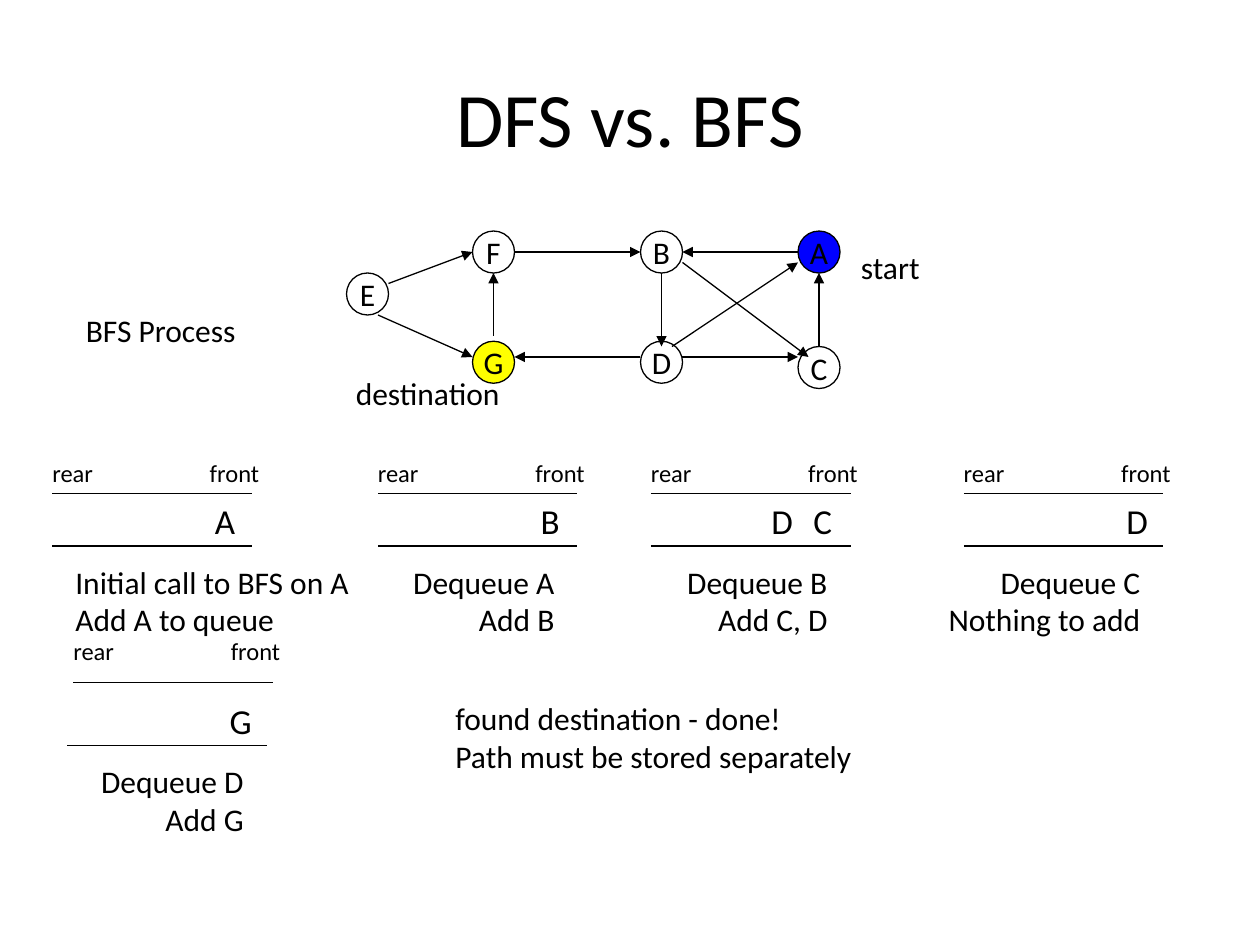
import pptx
import pptx.dml.color
import pptx.enum.shapes
import pptx.enum.text
import pptx.oxml
import pptx.oxml.ns
import pptx.util

BLACK = pptx.dml.color.RGBColor(0, 0, 0)
WHITE = pptx.dml.color.RGBColor(255, 255, 255)
BLUE = pptx.dml.color.RGBColor(0, 0, 255)
YELLOW = pptx.dml.color.RGBColor(255, 255, 0)
FONT = "Calibri"
LEFT = pptx.enum.text.PP_ALIGN.LEFT
CENTER = pptx.enum.text.PP_ALIGN.CENTER
RIGHT = pptx.enum.text.PP_ALIGN.RIGHT

COLUMNS, ROWS = 120, 90  # grid cells of a twelfth of an inch
NODE = 4
RAIL = 19

# Node: column, row, fill, all from the corner of the graph
NODES = {
    "E": (0, 4, WHITE),
    "F": (12, 0, WHITE),
    "G": (12, 10.5, YELLOW),
    "B": (28, 0, WHITE),
    "C": (43, 11, WHITE),
    "D": (28, 10.5, WHITE),
    "A": (43, 0, BLUE),
}
EDGES = [
    ((4, 5), (12, 2)),     # E to F
    ((3, 8), (12, 12)),    # E to G
    ((16, 2), (28, 2)),    # F to B
    ((14, 10), (14, 4)),   # G to F
    ((28, 12), (16, 12)),  # D to G
    ((32, 12), (43, 12)),  # D to C
    ((32, 3), (44, 12)),   # B to C
    ((30, 4), (30, 11)),   # B to D
    ((31, 11), (43, 3)),   # D to A
    ((43, 2), (32, 2)),    # A to B
    ((45, 11), (45, 4)),   # C to A
]


def grid(cells):
    return pptx.util.Inches(cells / 12)


def style_text(frame, text, size, align):
    frame.text = text
    for para in frame.paragraphs:
        para.alignment = align
        for span in para.runs:
            span.font.name = FONT
            span.font.size = pptx.util.Pt(size)
            span.font.color.rgb = BLACK


def add_label(page, text, left, top, width, height=4.8, size=18, align=LEFT):
    box = page.shapes.add_textbox(grid(left), grid(top), grid(width), grid(height))
    frame = box.text_frame
    frame.word_wrap = False
    frame.auto_size = pptx.enum.text.MSO_AUTO_SIZE.SHAPE_TO_FIT_TEXT
    style_text(frame, text, size, align)


def add_line(page, start, end, arrow=False):
    line = page.shapes.add_connector(
        pptx.enum.shapes.MSO_CONNECTOR.STRAIGHT, *map(grid, (*start, *end)))
    line.line.color.rgb = BLACK
    line.line.width = pptx.util.Pt(0.75)
    if arrow:
        head = pptx.oxml.parse_xml(
            f'<a:tailEnd {pptx.oxml.ns.nsdecls("a")} type="triangle"/>')
        line.line._get_or_add_ln().append(head)
    properties = line._element.spPr
    properties.append(pptx.oxml.parse_xml(
        f'<a:effectLst {pptx.oxml.ns.nsdecls("a")}/>'))


def add_title(page, text, left, top, width, height):
    box = page.shapes.add_textbox(grid(left), grid(top), grid(width), grid(height))
    frame = box.text_frame
    frame.word_wrap = True
    frame.vertical_anchor = pptx.enum.text.MSO_ANCHOR.MIDDLE
    style_text(frame, text, 44, CENTER)


def add_graph(page, left, top):
    for name, (column, row, fill) in NODES.items():
        node = page.shapes.add_shape(
            pptx.enum.shapes.MSO_SHAPE.OVAL,
            grid(left + column), grid(top + row), grid(NODE), grid(NODE))
        node.shadow.inherit = False
        node.fill.solid()
        node.fill.fore_color.rgb = fill
        node.line.color.rgb = BLACK
        node.line.width = pptx.util.Pt(0.75)
        node.text_frame.word_wrap = False
        node.text_frame.vertical_anchor = pptx.enum.text.MSO_ANCHOR.MIDDLE
        style_text(node.text_frame, name, 18, CENTER)
    for start, end in EDGES:
        add_line(page, *((left + column, top + row) for column, row in (start, end)),
                 arrow=True)
    add_label(page, "start", left + 47.8, top + 1, 8.3)
    add_label(page, "destination", left - 0.3, top + 13, 16.5)


def add_queue(page, left, top, items, caption, caption_width,
              align=RIGHT, rails=(4, 9), item_row=4, shift=0):
    """Draw one queue state; shift moves everything below the upper rail sideways."""
    add_label(page, "rear", left - 1.2, top, 6.6, 4.1, 14)
    add_label(page, "front", left + 13.8, top, 7.5, 4.1, 14)
    upper, lower = (top + row for row in rails)
    body = left + shift
    add_line(page, (left, upper), (left + RAIL, upper))
    add_line(page, (body, lower), (body + RAIL, lower))
    for place, item in enumerate(reversed(items)):
        add_label(page, item, body + 14.3 - 4 * place, top + item_row, 4.6, 5.3, 20)
    caption_left = body + 18 - caption_width if align == RIGHT else body + 1
    add_label(page, caption, caption_left, lower + 1, caption_width, 8.4, align=align)


def main():
    deck = pptx.Presentation()
    deck.slide_width, deck.slide_height = grid(COLUMNS), grid(ROWS)
    page = deck.slides.add_slide(deck.slide_layouts[6])

    add_title(page, "DFS vs. BFS", 6, 3.6, COLUMNS - 12, 15)
    add_graph(page, 33, 22)
    add_label(page, "BFS Process", 7, 29, 17)

    add_queue(page, 5, 43, "A", "Initial call to BFS on A\nAdd A to queue", 29, LEFT)
    add_queue(page, 36, 43, "B", "Dequeue A\nAdd B", 16.3)
    add_queue(page, 62, 43, "DC", "Dequeue B\nAdd C, D", 16.3)
    add_queue(page, 91.8, 43, "D", "Dequeue C\nNothing to add", 21)
    add_queue(page, 7, 60, "G", "Dequeue D\nAdd G", 16.3,
              rails=(5, 11), item_row=6, shift=-0.6)
    add_label(page, "found destination - done!\nPath must be stored separately",
              42.2, 66, 40.8, 8.4)

    deck.save("out.pptx")


if __name__ == "__main__":
    main()
